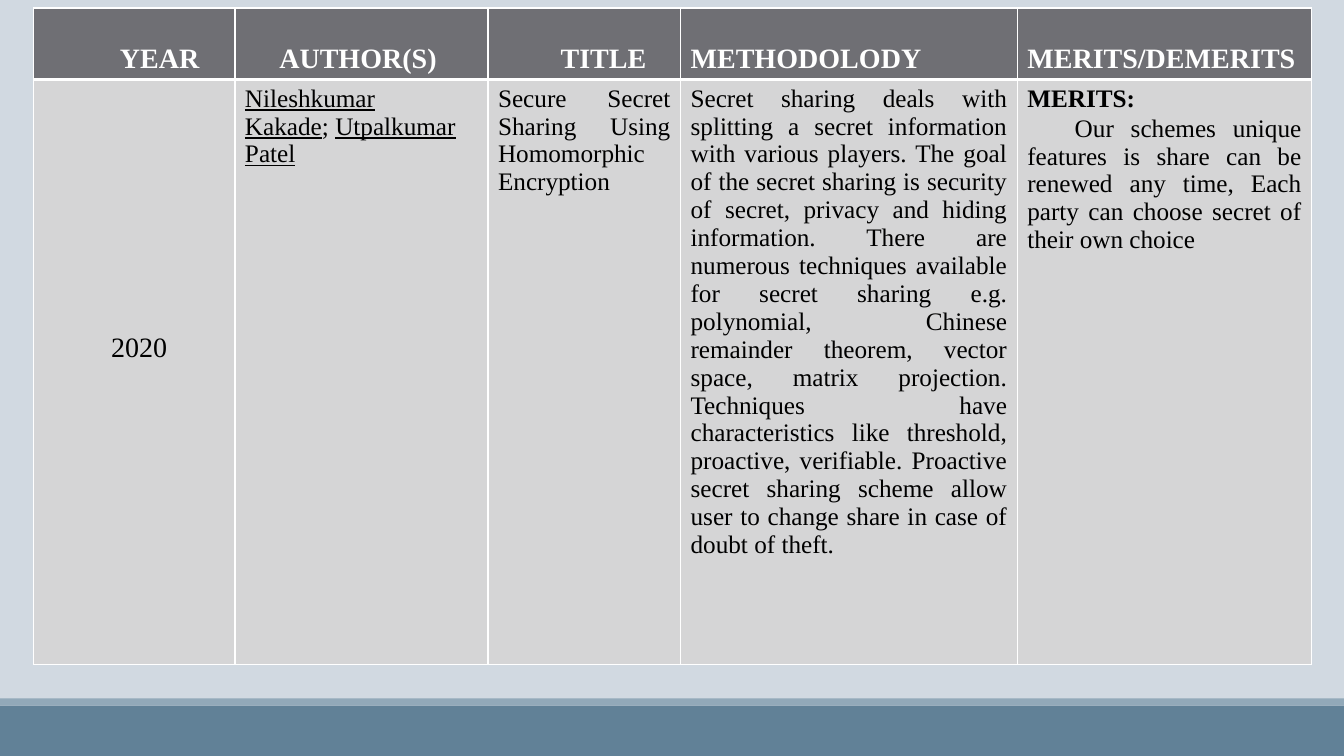
"""Build the literature survey slide: one table above a two-tone footer band."""
import pptx
import pptx.util
import pptx.dml.color
import pptx.enum.shapes
import pptx.enum.text
import pptx.oxml

Inch = pptx.util.Inches
Rgb = pptx.dml.color.RGBColor.from_string
Align = pptx.enum.text.PP_ALIGN
Anchor = pptx.enum.text.MSO_ANCHOR

theme = {
    "back": "D1D9E1", "foot": "618197", "strip": "92A9B9",
    "head": "6F6F74", "body": "D5D5D6", "line": "FFFFFF",
    "light": "FFFFFF", "dark": "000000",
    "font": "Times New Roman", "large": 20, "small": 18,
}

deck = pptx.Presentation()
deck.slide_width, deck.slide_height = Inch(13.33), Inch(7.5)
slide = deck.slides.add_slide(deck.slide_layouts[6])
slide.background.fill.solid()
slide.background.fill.fore_color.rgb = Rgb(theme["back"])

for tone, top, high in (("foot", 7, 0.5), ("strip", 6.93, 0.07)):
    band = slide.shapes.add_shape(
        pptx.enum.shapes.MSO_SHAPE.RECTANGLE,
        0, Inch(top), deck.slide_width, Inch(high))
    band.shadow.inherit = False
    band.fill.solid()
    band.fill.fore_color.rgb = Rgb(theme[tone])
    band.line.fill.background()


def edge(cell, widths):
    """Draw the four cell borders, given in points by side."""
    for side, width in widths.items():
        cell._tc.get_or_add_tcPr().append(pptx.oxml.parse_xml(
            f'<a:ln{side} xmlns:a="http://schemas.openxmlformats.org/drawingml/2006/main"'
            f' w="{pptx.util.Pt(width)}"><a:solidFill><a:srgbClr val="{theme["line"]}"/>'
            f'</a:solidFill></a:ln{side}>'))


def write(cell, texts, form):
    """Fill a cell with paragraphs of (runs, paragraph format, run format)."""
    frame = cell.text_frame
    for index, (runs, shape, extra) in enumerate(texts):
        para = frame.add_paragraph() if index else frame.paragraphs[0]
        para.alignment = shape.get("align", Align.JUSTIFY)
        para.space_before = pptx.util.Pt(shape.get("before", 0))
        props = para._p.get_or_add_pPr()
        for name in ("marL", "indent"):
            props.set(name, str(Inch(shape.get(name, 0))))
        for words, under in runs:
            run = para.add_run()
            run.text = words
            run.font.color.rgb = Rgb(form["color"])
            look = {"name": theme["font"], "size": pptx.util.Pt(form["size"]),
                    "bold": form["bold"], "underline": under, **extra}
            for name, value in look.items():
                setattr(run.font, name, value)


left = {"align": Align.LEFT}
heads = [("YEAR", 0.76), ("AUTHOR(S)", 0.34), ("TITLE", 0.62),
         ("METHODOLODY", 0), ("MERITS/DEMERITS", 0)]
method = (
    "Secret sharing deals with splitting a secret information with various players. "
    "The goal of the secret sharing is security of secret, privacy and hiding information. "
    "There are numerous techniques available for secret sharing e.g. polynomial, Chinese "
    "remainder theorem, vector space, matrix projection. Techniques have characteristics "
    "like threshold, proactive, verifiable. Proactive secret sharing scheme allow user to "
    "change share in case of doubt of theft.")
merit = ("Our schemes unique features is share can be renewed any time, "
         "Each party can choose secret of their own choice")
study = [
    [([("2020", False)], {"align": Align.CENTER, "marL": 0.1},
      {"size": pptx.util.Pt(theme["large"])})],
    [([("Nileshkumar Kakade", True), (";\N{NO-BREAK SPACE}", False),
       ("Utpalkumar Patel", True)], {}, {})],
    [([("Secure Secret Sharing Using Homomorphic Encryption", False)], {}, {})],
    [([(method, False)], {}, {})],
    [([("MERITS:", False)], left, {"bold": True}),
     ([(merit, False)], {"indent": 0.47, "before": 1.5}, {})],
]
rows = [
    ([[([(word, False)], {**left, "marL": gap}, {})] for word, gap in heads],
     {"fill": "head", "color": theme["light"], "size": theme["large"], "bold": True,
      "anchor": Anchor.BOTTOM, "edges": {"L": 1, "R": 1, "T": 1, "B": 3}}),
    (study,
     {"fill": "body", "color": theme["dark"], "size": theme["small"], "bold": False,
      "anchor": Anchor.TOP, "edges": {"L": 1, "R": 1, "T": 3, "B": 1}}),
]
wide, tall = [2, 2.51, 1.91, 3.34, 2.92], [0.71, 5.8]

grid = slide.shapes.add_table(
    len(tall), len(wide), Inch(0.33), Inch(0.08), Inch(sum(wide)), Inch(sum(tall))).table
grid.horz_banding = False
for col, width in zip(grid.columns, wide):
    col.width = Inch(width)
for row, high, (cells, form) in zip(grid.rows, tall, rows):
    row.height = Inch(high)
    for cell, texts in zip(row.cells, cells):
        edge(cell, form["edges"])
        cell.fill.solid()
        cell.fill.fore_color.rgb = Rgb(theme[form["fill"]])
        cell.vertical_anchor = form["anchor"]
        write(cell, texts, form)

year = grid.cell(1, 0)
year.vertical_anchor = Anchor.MIDDLE
year.margin_bottom = Inch(0.53)

deck.save("out.pptx")
